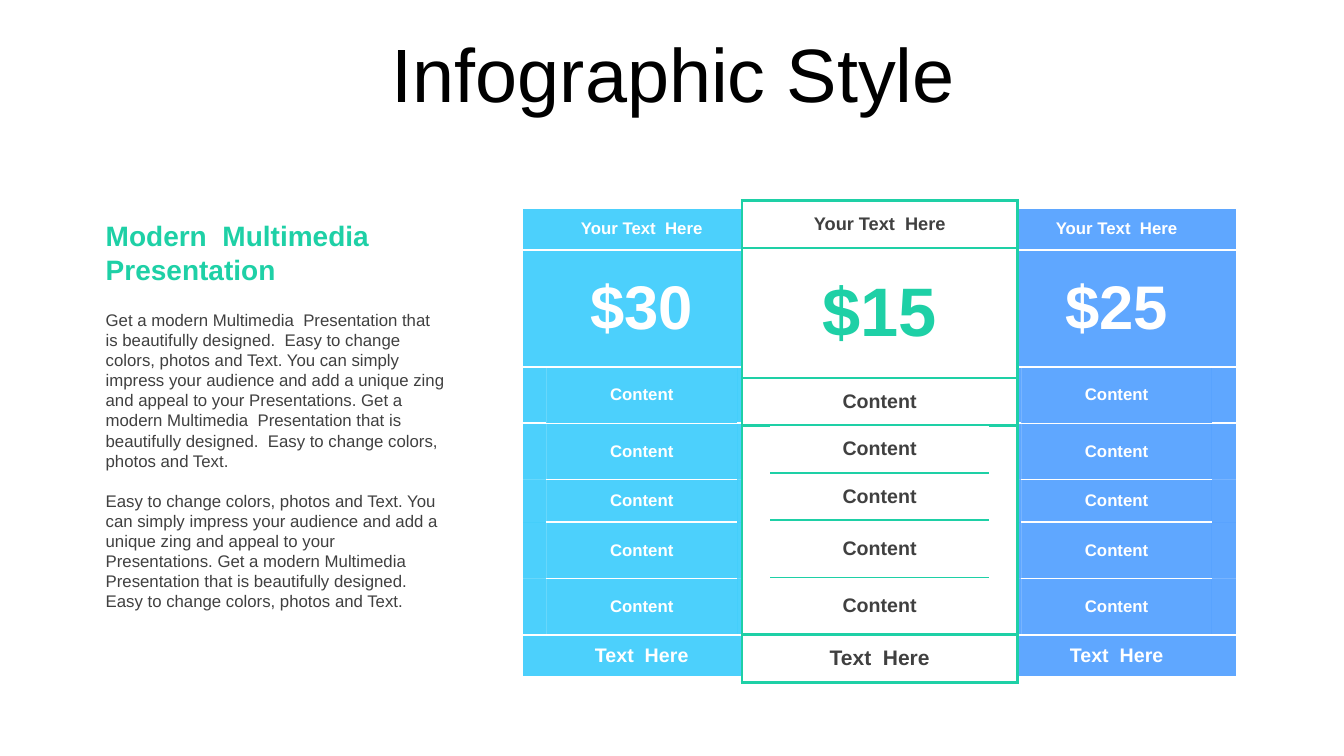
from lxml import etree
from pptx import Presentation
from pptx.dml.color import RGBColor
from pptx.enum.text import MSO_ANCHOR, PP_ALIGN
from pptx.oxml.ns import qn
from pptx.util import Inches, Pt

CENTER, LEFT = PP_ALIGN.CENTER, PP_ALIGN.LEFT
MIDDLE = MSO_ANCHOR.MIDDLE
TITLE_ONLY = 5
NO_STYLE = "{2D5ABB26-0587-4C30-8999-92F81FD0307C}"
COLORS = {"black": "000000", "white": "FFFFFF", "dark": "404040",
          "green": "1ED0A6", "cyan": "00BDFB", "blue": "1C82FF"}

ADVICE = ("Easy to change colors, photos and Text. You can simply impress your "
          "audience and add a unique zing and appeal to your Presentations. "
          "Get a modern Multimedia  Presentation that is beautifully designed. ")
REPEAT = "Easy to change colors, photos and Text."
INTRO = ("Get a modern Multimedia  Presentation that is beautifully designed.  "
         + ADVICE + " " + REPEAT)
FULL_ROWS = (0, 1, 7)  # header, price and footer span all columns
FULL_LINES = (0, 1, 2, 7, 8)  # row boundaries drawn across all columns


def write(paragraph, text, size, color, bold=False, align=LEFT, before=0, spacing=None):
    """Put formatted text into one paragraph."""
    run = paragraph.add_run()
    run.text = text
    run.font.name = "Arial"
    run.font.size = Pt(size)
    run.font.bold = bold
    run.font.color.rgb = RGBColor.from_string(COLORS[color])
    paragraph.alignment = align
    paragraph.space_before = Pt(before)
    if spacing:
        paragraph.line_spacing = spacing


class PricingSlide:
    def __init__(self, presentation):
        self.slide = presentation.slides.add_slide(presentation.slide_layouts[TITLE_ONLY])

    def title(self, text):
        heading = self.slide.shapes.title
        heading.left, heading.top = Inches(0.35), Inches(0.31)
        heading.width, heading.height = Inches(12.66), Inches(0.92)
        heading.text_frame.vertical_anchor = MIDDLE
        write(heading.text_frame.paragraphs[0], text, 54, "black", align=CENTER, spacing=0.9)

    def text(self, top, height, paragraphs, **style):
        box = self.slide.shapes.add_textbox(
            Inches(0.95), Inches(top), Inches(3.56), Inches(height))
        frame = box.text_frame
        frame.word_wrap = True
        for i, words in enumerate(paragraphs):
            paragraph = frame.add_paragraph() if i else frame.paragraphs[0]
            write(paragraph, words, before=14 if i else 0, **style)

    def border(self, cell, side, width, color):
        properties = cell._tc.get_or_add_tcPr()
        line = etree.Element(qn("a:ln" + side), w=str(Pt(width)))
        fill = etree.SubElement(line, qn("a:solidFill"))
        etree.SubElement(fill, qn("a:srgbClr"), val=COLORS[color])
        # Borders come in the order L, R, T, B, ahead of the fill
        properties.insert(len(properties) - 1, line)

    def plan(self, left, top, columns, rows, price, fill, line, widths, sizes,
             text_color, price_color, alpha=None, margins=None):
        frame = self.slide.shapes.add_table(
            len(rows), len(columns), Inches(left), Inches(top),
            Inches(sum(columns)), Inches(sum(rows)))
        table = frame.table
        table.first_row = table.horz_banding = False
        table._tbl.tblPr.find(qn("a:tableStyleId")).text = NO_STYLE
        for column, width in zip(table.columns, columns):
            column.width = Inches(width)
        for row, height in zip(table.rows, rows):
            row.height = Inches(height)

        head_size, price_size, content_size, foot_size = sizes
        labels = ([("Your Text  Here", head_size, text_color),
                   (price, price_size, price_color)]
                  + [("Content", content_size, text_color)] * 5
                  + [("Text  Here", foot_size, text_color)])
        for r, label in enumerate(labels):
            full = r in FULL_ROWS
            if full:
                table.cell(r, 0).merge(table.cell(r, 2))
            for c in range(len(columns)):
                cell = table.cell(r, c)
                # Fill
                cell.fill.solid()
                cell.fill.fore_color.rgb = RGBColor.from_string(COLORS[fill])
                if alpha:
                    shade = next(cell._tc.tcPr.iter(qn("a:srgbClr")))
                    etree.SubElement(shade, qn("a:alpha"), val=str(alpha * 1000))
                # Borders
                if c == 0:
                    self.border(cell, "L", 2.25, line)
                if c == 2 or (full and c == 0):
                    self.border(cell, "R", 2.25, line)
                for side, boundary in (("T", r), ("B", r + 1)):
                    if c == 1 or boundary in FULL_LINES:
                        self.border(cell, side, widths[boundary], line)
            # Label
            cell = table.cell(r, 0 if full else 1)
            cell.vertical_anchor = MIDDLE
            if margins:
                cell.margin_left = cell.margin_right = Inches(margins[0])
                cell.margin_top = cell.margin_bottom = Inches(margins[1])
            words, size, color = label
            write(cell.text_frame.paragraphs[0], words, size, color, bold=True, align=CENTER)


def main():
    presentation = Presentation()
    presentation.slide_width, presentation.slide_height = Inches(13.33), Inches(7.5)
    slide = PricingSlide(presentation)
    slide.title("Infographic Style")

    # Introduction
    slide.text(2.12, 0.77, ["Modern  Multimedia  Presentation"],
               size=20, color="green", bold=True)
    slide.text(3.02, 3.13, [INTRO, ADVICE + REPEAT], size=12, color="dark")

    # Side plans
    for left, price, fill in ((5.17, "$30", "cyan"), (9.88, "$25", "blue")):
        slide.plan(left, 2.06, [0.25, 1.89, 0.25],
                   [0.42, 1.16, 0.56, 0.56, 0.42, 0.56, 0.56, 0.42],
                   price, fill, "white", [2.25, 2.25, 1.5, 1, 1, 1, 1, 2.25, 2.25],
                   (12, 44, 12, 14), "white", "white", alpha=70)

    # Featured plan, in front
    slide.plan(7.36, 1.99, [0.28, 2.17, 0.28],
               [0.47, 1.29, 0.47, 0.47, 0.47, 0.57, 0.57, 0.47],
               "$15", "white", "green", [2.25] * 3 + [1.5] * 4 + [2.25] * 2,
               (13, 49, 14, 15), "dark", "green", margins=(0.11, 0.06))

    presentation.save("out.pptx")


if __name__ == "__main__":
    main()
